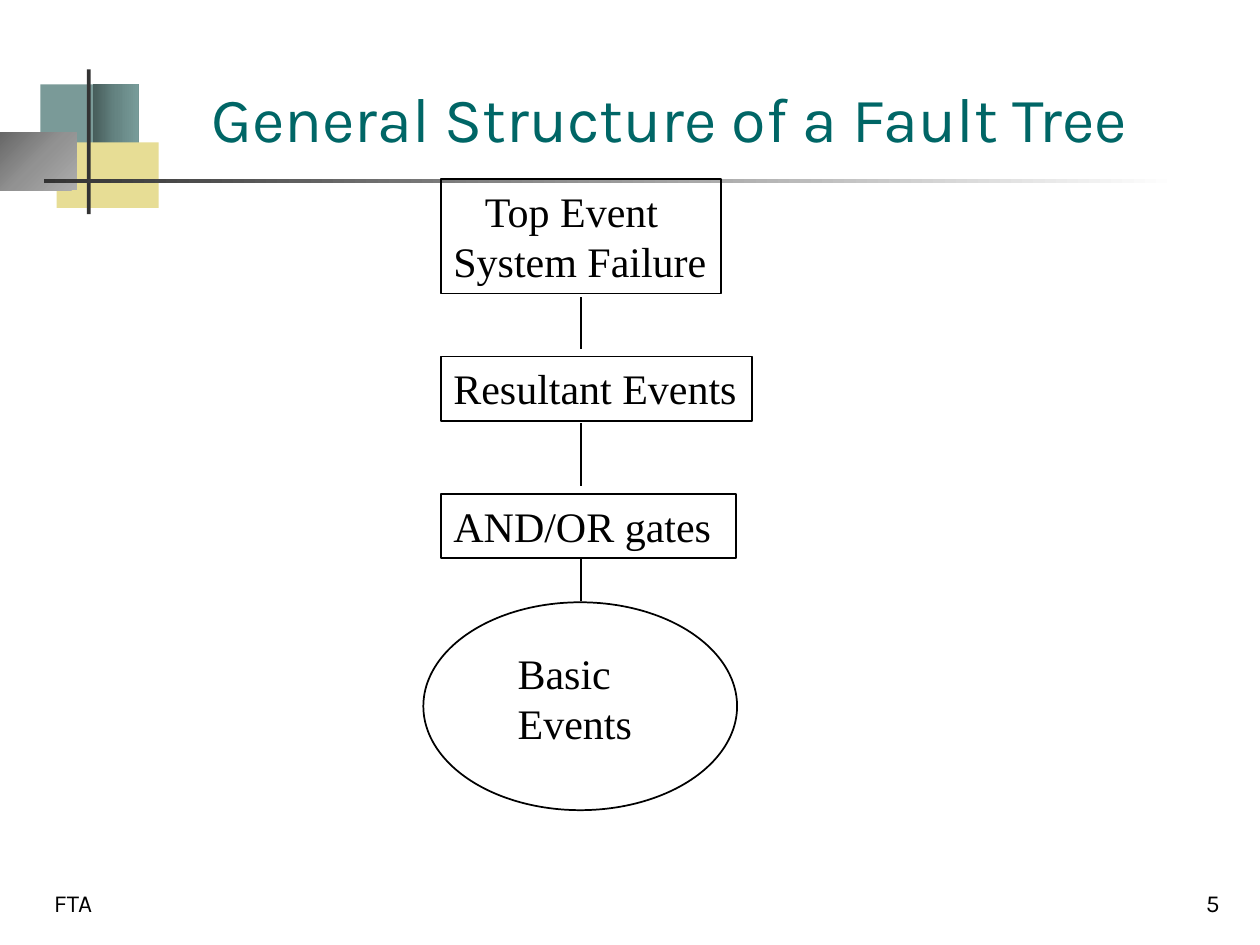
import pptx
import pptx.util
import pptx.dml.color
import pptx.enum.shapes
import pptx.enum.text
import pptx.oxml
import pptx.oxml.ns
from pptx.util import Inches

SHAPE = pptx.enum.shapes.MSO_SHAPE
ANCHOR = pptx.enum.text.MSO_ANCHOR
ALIGN = pptx.enum.text.PP_ALIGN
AUTO = pptx.enum.text.MSO_AUTO_SIZE


def color(value):
    return pptx.dml.color.RGBColor.from_string(value)


def write(tf, text, font="Times New Roman", size=24, ink="000000",
          align=ALIGN.LEFT, anchor=ANCHOR.TOP, wrap=False, indent=0):
    tf.word_wrap = wrap
    tf.auto_size = AUTO.NONE
    tf.vertical_anchor = anchor
    for i, line in enumerate(text.split("\n")):
        p = tf.add_paragraph() if i else tf.paragraphs[0]
        p.alignment = align
        if indent and i == 0:
            p._p.get_or_add_pPr().set("indent", str(Inches(indent)))
        r = p.add_run()
        r.text = line
        r.font.name = font
        r.font.size = pptx.util.Pt(size)
        r.font.color.rgb = color(ink)


class Deck:
    font = "Karla"
    accent = "006666"
    ink = "000000"
    line_width = pptx.util.Pt(1)

    def __init__(self):
        self.prs = pptx.Presentation()
        self.prs.slide_width, self.prs.slide_height = Inches(10), Inches(7.5)
        self.s = self.prs.slides.add_slide(self.prs.slide_layouts[5])

    def shape(self, kind, *box):
        sp = self.s.shapes.add_shape(kind, *map(Inches, box))
        sp.shadow.inherit = False
        return sp

    def block(self, box, *fills, radial=False):
        sp = self.shape(SHAPE.RECTANGLE, *box)
        sp.line.fill.background()
        if len(fills) == 1:
            sp.fill.solid()
            sp.fill.fore_color.rgb = color(fills[0])
        else:
            self.gradient(sp, fills, radial)

    def gradient(self, sp, fills, radial):
        sp.fill.gradient()
        old = sp._element.spPr.find(pptx.oxml.ns.qn("a:gradFill"))
        step = 100000 // (len(fills) - 1)
        stops = "".join(
            f'<a:gs pos="{i * step}"><a:srgbClr val="{c}"/></a:gs>'
            for i, c in enumerate(fills))
        shade = ('<a:path path="circle"><a:fillToRect r="100000" b="100000"/></a:path>'
                 if radial else '<a:lin ang="0" scaled="1"/>')
        new = pptx.oxml.parse_xml(
            f'<a:gradFill {pptx.oxml.ns.nsdecls("a")} rotWithShape="1">'
            f'<a:gsLst>{stops}</a:gsLst>{shade}</a:gradFill>')
        old.getparent().replace(old, new)

    def title(self, text, *box):
        sp = self.s.shapes.title
        sp.left, sp.top, sp.width, sp.height = map(Inches, box)
        write(sp.text_frame, text, font=self.font, size=36, ink=self.accent,
              anchor=ANCHOR.BOTTOM, wrap=True)

    def text(self, text, *box, **style):
        sp = self.s.shapes.add_textbox(*map(Inches, box))
        write(sp.text_frame, text, **style)

    def footer(self, text, left, align):
        self.text(text, left, 6.83, 2.08, 0.5, font=self.font, size=14,
                  align=align, anchor=ANCHOR.BOTTOM, wrap=True)

    def outline(self, kind, *box):
        sp = self.shape(kind, *box)
        sp.fill.background()
        sp.line.color.rgb = color(self.ink)
        sp.line.width = self.line_width
        return sp

    def event(self, text, top, width, height=0.51, **style):
        sp = self.outline(SHAPE.RECTANGLE, 3.5, top, width, height)
        write(sp.text_frame, text, **style)

    def link(self, x, top, bottom):
        c = self.s.shapes.add_connector(
            pptx.enum.shapes.MSO_CONNECTOR.STRAIGHT,
            *map(Inches, (x, top, x, bottom)))
        c.line.color.rgb = color(self.ink)
        c.line.width = self.line_width
        c._element.spPr.append(pptx.oxml.parse_xml(
            f'<a:effectLst {pptx.oxml.ns.nsdecls("a")}/>'))


def main():
    d = Deck()
    d.block((0.32, 0.67, 0.48, 0.52), "7A9A98")
    d.block((0.74, 0.67, 0.36, 0.52), "475D5B", "658482", "789C9A")
    d.block((0.45, 1.13, 0.81, 0.52), "E7DD95")
    d.block((0, 1.05, 0.61, 0.46), "676767", "929292", "ADADAD", radial=True)
    d.block((0.69, 0.55, 0.03, 1.15), "333333")
    d.block((0.35, 1.42, 9, 0.03), "333333", "FFFFFF")
    d.title("General Structure of a Fault Tree", 1.58, 0.42, 7.77, 0.86)
    d.footer("FTA", 0.33, ALIGN.LEFT)
    d.footer("5", 7.7, ALIGN.RIGHT)

    d.event("Top Event\nSystem Failure", 1.42, 2.22, 0.91, indent=0.25)
    d.event("Resultant Events", 2.83, 2.47)
    d.event("AND/OR gates", 3.92, 2.34, wrap=True)
    d.outline(SHAPE.OVAL, 3.36, 4.78, 2.49, 1.65)
    d.text("Basic\nEvents", 4.01, 5.09, 1.11, 0.9)
    for top, bottom in ((2.36, 2.77), (3.36, 3.86), (4.44, 4.77)):
        d.link(4.61, top, bottom)
    d.prs.save("out.pptx")


if __name__ == "__main__":
    main()
